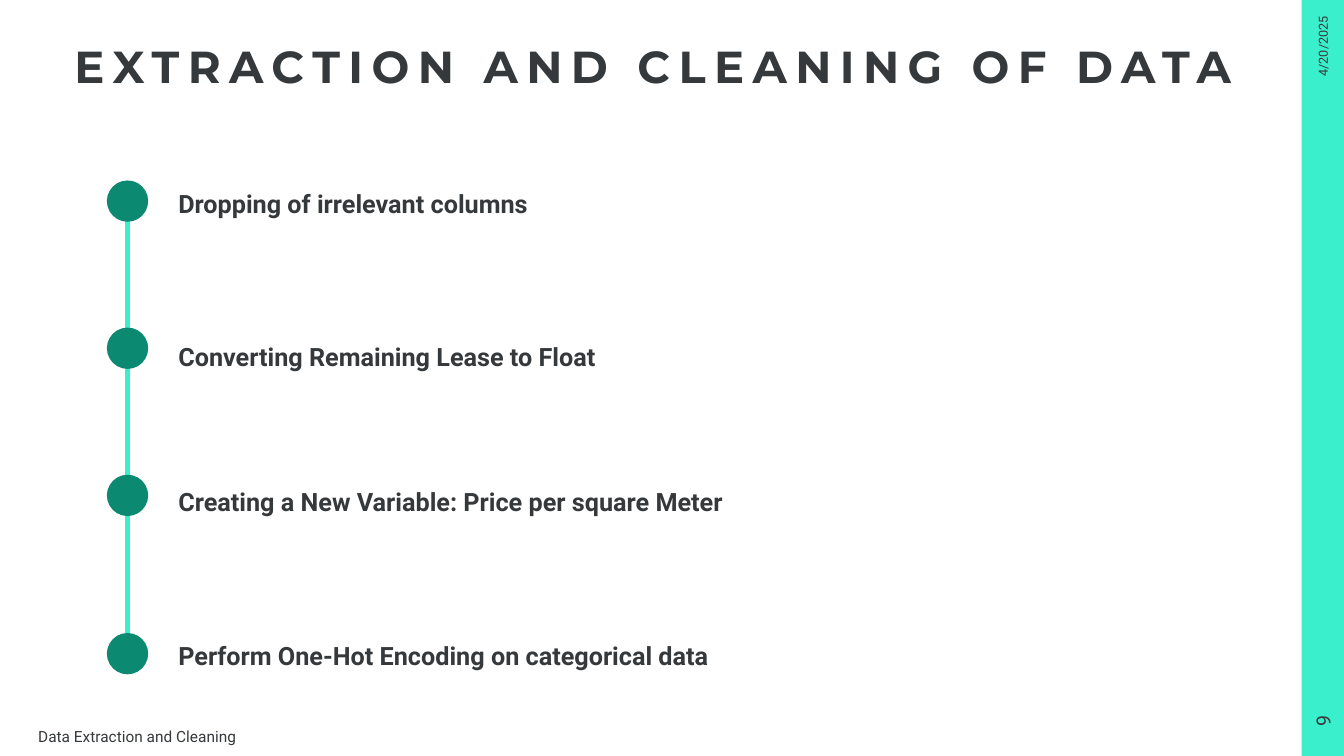
from lxml import etree
from pptx import Presentation
from pptx import util as u
from pptx.dml.color import RGBColor
from pptx.enum import shapes, text
from pptx.oxml.ns import qn

WIDTH, HEIGHT = 13.33, 7.5
INK, MINT, GREEN = "36393B", "3AEFCC", "0B8971"
BAR_WIDTH = 0.42
DOT = 0.41
STEPS = [
    ("Dropping of irrelevant columns", 1.79, 1.67),
    ("Converting Remaining Lease to Float", 3.25, 3.19),
    ("Creating a New Variable: Price per square Meter", 4.71, 4.63),
    ("Perform One-Hot Encoding on categorical data", 6.28, 6.15),
]


def paint(color_format, value):
    color_format.rgb = RGBColor.from_string(value)


def add_solid(page, kind, box, color):
    shape = page.shapes.add_shape(kind, *map(u.Inches, box))
    shape.shadow.inherit = False
    shape.fill.solid()
    paint(shape.fill.fore_color, color)
    shape.line.fill.background()
    return shape


def add_label(page, box, words, size, font="Roboto", bold=False,
              insets=(0.1, 0.05, 0.1, 0.05), spacing=None):
    label = page.shapes.add_textbox(*map(u.Inches, box))
    frame = label.text_frame
    frame.word_wrap = True
    (frame.margin_left, frame.margin_top,
     frame.margin_right, frame.margin_bottom) = map(u.Inches, insets)
    para = frame.paragraphs[0]
    para.text = words
    para.line_spacing = spacing
    para.font.name = font
    para.font.size = u.Pt(size)
    para.font.bold = bold
    paint(para.font.color, INK)
    return label


def add_title(page, box):
    title = add_label(page, box, "EXTRACTION AND CLEANING OF DATA", 32, "Montserrat",
                      True, (0.1, 0.1, 0, 0), 0.9)
    span = title.text_frame.paragraphs[0].runs[0]
    span.font._element.set("spc", "600")


def add_sidebar(page, box):
    left, top, width, height = box
    add_solid(page, shapes.MSO_SHAPE.RECTANGLE, box, MINT)
    middle = left + width / 2
    for words, size, length, center in (("4/20/2025", 9, 0.92, 0.46), ("9", 14, 0.7, 7.15)):
        label_box = (middle - length / 2, top + center - width / 2, length, width)
        label = add_label(page, label_box, words, size)
        label.rotation = 270
        label.text_frame.vertical_anchor = text.MSO_ANCHOR.MIDDLE
        label.text_frame.paragraphs[0].alignment = text.PP_ALIGN.CENTER


def add_timeline(page, left, width):
    middle = left + DOT / 2
    ends = (middle, STEPS[0][1] + DOT / 2, middle, STEPS[-1][1] + DOT / 2)
    line = page.shapes.add_connector(shapes.MSO_CONNECTOR.STRAIGHT, *map(u.Inches, ends))
    line.line.width = u.Pt(3)
    paint(line.line.color, MINT)
    etree.SubElement(line._element.spPr, qn("a:effectLst"))
    text_left = left + 0.61
    for words, dot_top, text_top in STEPS:
        add_solid(page, shapes.MSO_SHAPE.OVAL, (left, dot_top, DOT, DOT), GREEN)
        add_label(page, (text_left, text_top, left + width - text_left, 0.54),
                  words, 18, bold=True, spacing=1.5)


def main():
    deck = Presentation()
    deck.slide_width, deck.slide_height = u.Inches(WIDTH), u.Inches(HEIGHT)
    page = deck.slides.add_slide(deck.slide_layouts[6])
    add_sidebar(page, (WIDTH - BAR_WIDTH, 0, BAR_WIDTH, HEIGHT))
    add_title(page, (0.64, 0.34, 11.91, 0.64))
    add_label(page, (0.28, 7.21, 3.59, 0.19), "Data Extraction and Cleaning", 11,
              insets=(0.1, 0, 0, 0))
    add_timeline(page, 1.06, 6.46)
    deck.save("out.pptx")


if __name__ == "__main__":
    main()
